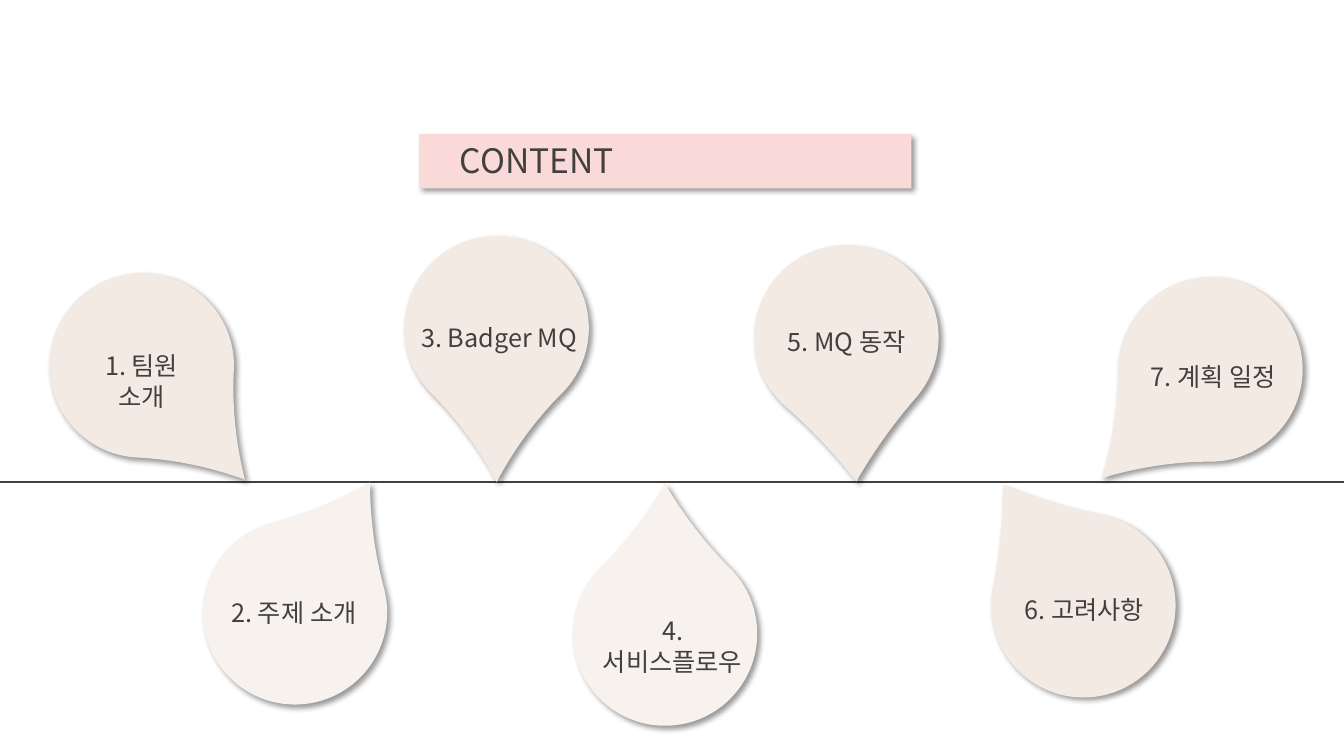
from lxml import etree
from pptx import Presentation
from pptx.dml.color import RGBColor
from pptx.enum.shapes import MSO_CONNECTOR, MSO_SHAPE
from pptx.enum.text import MSO_ANCHOR, MSO_AUTO_SIZE, PP_ALIGN
from pptx.oxml import parse_xml
from pptx.oxml.ns import nsdecls, qn
from pptx.util import Inches, Pt

COLORS = {"text": "404040", "banner": "FADAD8", "drop": "F4EAE4", "pale": "F8F2EE"}
FONT = "Noto Sans CJK KR"
DROP_SIZE = 1.83
TIMELINE_Y = 4.78
LABEL_HEIGHT = 0.4
SHADOW = (
    f'<a:effectLst {nsdecls("a")}><a:outerShdw blurRad="50800" dist="38100" '
    'dir="2700000" algn="tl" rotWithShape="0"><a:srgbClr val="000000">'
    '<a:alpha val="40000"/></a:srgbClr></a:outerShdw></a:effectLst>'
)


def add_shadowed_shape(preset, left, top, width, height, color):
    shape = slide.shapes.add_shape(
        preset, Inches(left), Inches(top), Inches(width), Inches(height))
    shape.fill.solid()
    shape.fill.fore_color.rgb = RGBColor.from_string(COLORS[color])
    shape.line.fill.background()
    shape.element.spPr.append(parse_xml(SHADOW))
    return shape


def write_text(shape, text, size, alignment):
    frame = shape.text_frame
    frame.word_wrap = True
    frame.auto_size = MSO_AUTO_SIZE.SHAPE_TO_FIT_TEXT
    frame.vertical_anchor = MSO_ANCHOR.TOP
    paragraph = frame.paragraphs[0]
    paragraph.alignment = alignment
    paragraph.line_spacing = 1.0
    run = paragraph.add_run()
    run.text = text
    run.font.size = Pt(size)
    run.font.name = FONT
    run.font.color.rgb = RGBColor.from_string(COLORS["text"])
    etree.SubElement(run.font._element, qn("a:ea")).set("typeface", FONT)


presentation = Presentation()
presentation.slide_width = Inches(13.33)
presentation.slide_height = Inches(7.5)
slide = presentation.slides.add_slide(presentation.slide_layouts[5])

# Title on its banner
add_shadowed_shape(MSO_SHAPE.RECTANGLE, 4.16, 1.33, 4.88, 0.54, "banner")
title = slide.shapes.title
title.left, title.top = Inches(4.46), Inches(1.34)
title.width, title.height = Inches(4.26), Inches(0.5)
write_text(title, "CONTENT", 24, PP_ALIGN.JUSTIFY)
slide.shapes.element.append(title.element)  # bring in front of the banner

# Timeline across the slide
timeline = slide.shapes.add_connector(
    MSO_CONNECTOR.STRAIGHT, 0, Inches(TIMELINE_Y),
    presentation.slide_width, Inches(TIMELINE_Y))
timeline.line.color.rgb = RGBColor.from_string(COLORS["text"])
timeline.line.width = Pt(1)
etree.SubElement(timeline.element.spPr, qn("a:effectLst"))

# Drop left, top, rotation, flips, point length, colour; label left, top, width, text
topics = [
    (0.49, 2.71, 92.9, "", 1.18, "drop", 0.7, 3.43, 1.41, "1. 팀원 소개"),
    (2.01, 5.16, 255, "V", 1.15, "pale", 2.15, 5.88, 1.53, "2. 주제 소개"),
    (4.01, 2.34, 135, "", 1.18, "drop", 4.02, 3.15, 1.86, "3. Badger MQ"),
    (5.68, 5.37, 225, "V", 1.15, "pale", 5.76, 6.06, 1.82, "4. 서비스플로우"),
    (7.48, 2.43, 311.1, "HV", 1.11, "drop", 7.39, 3.19, 2.01, "5. MQ 동작"),
    (9.83, 5.09, 101.3, "HV", 1.11, "drop", 9.75, 5.85, 2.01, "6. 고려사항"),
    (11.09, 2.75, 180, "", 1.18, "drop", 11.09, 3.54, 1.89, "7. 계획 일정"),
]
for (left, top, rotation, flips, point, color,
     label_left, label_top, label_width, text) in topics:
    drop = add_shadowed_shape(
        MSO_SHAPE.TEAR, left, top, DROP_SIZE, DROP_SIZE, color)
    drop.adjustments[0] = point
    drop.rotation = rotation
    for axis in flips:
        drop.element.spPr.find(qn("a:xfrm")).set(f"flip{axis}", "1")
    label = slide.shapes.add_textbox(
        Inches(label_left), Inches(label_top),
        Inches(label_width), Inches(LABEL_HEIGHT))
    write_text(label, text, 18, PP_ALIGN.CENTER)

presentation.save("out.pptx")
